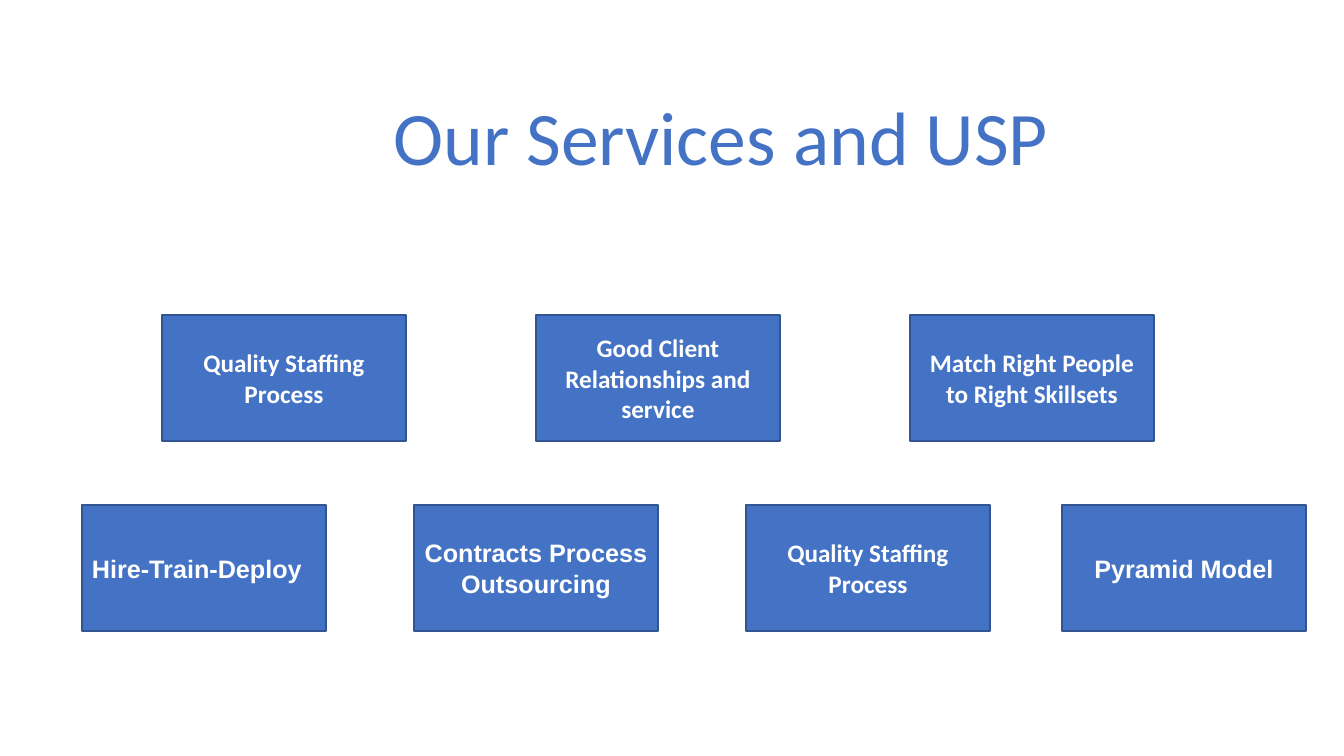
from pptx import Presentation
from pptx.dml.color import RGBColor
from pptx.enum.shapes import MSO_SHAPE as Shape
from pptx.enum.text import MSO_ANCHOR as Anchor, MSO_AUTO_SIZE as AutoSize, PP_ALIGN as Align
from pptx.util import Emu, Pt

EMU_PER_PX = 914400 / 100.8
BLUE, DARK_BLUE, WHITE = "4472C4", "325491", "FFFFFF"
BOX_WIDTH, BOX_HEIGHT = 244, 126


def px(length):
    return Emu(round(length * EMU_PER_PX))


def color(hex_string):
    return RGBColor.from_string(hex_string)


class ServiceSlide:
    def __init__(self, presentation):
        self.slide = presentation.slides.add_slide(presentation.slide_layouts[5])

    def add_text(self, shape, text, font_name, size, hex_color, bold, align, anchor):
        frame = shape.text_frame
        frame.vertical_anchor = anchor
        paragraph = frame.paragraphs[0]
        paragraph.alignment = align
        run = paragraph.add_run()
        run.text = text
        run.font.name = font_name
        run.font.size = Pt(size)
        run.font.bold = bold
        run.font.color.rgb = color(hex_color)

    def title(self, text, left, top, width, height):
        shape = self.slide.shapes.title
        shape.left, shape.top = px(left), px(top)
        shape.width, shape.height = px(width), px(height)
        shape.text_frame.word_wrap = False
        shape.text_frame.auto_size = AutoSize.SHAPE_TO_FIT_TEXT
        self.add_text(shape, text, "Calibri", 54, BLUE, False, Align.CENTER, Anchor.TOP)

    def box(self, text, left, top, font_name="Calibri", align=Align.CENTER):
        shape = self.slide.shapes.add_shape(
            Shape.RECTANGLE, px(left), px(top), px(BOX_WIDTH), px(BOX_HEIGHT))
        shape.shadow.inherit = False
        shape.fill.solid()
        shape.fill.fore_color.rgb = color(BLUE)
        shape.line.color.rgb = color(DARK_BLUE)
        shape.line.width = Pt(1)
        shape.text_frame.word_wrap = True
        self.add_text(shape, text, font_name, 18, WHITE, True, align, Anchor.MIDDLE)


def main():
    presentation = Presentation()
    presentation.slide_width, presentation.slide_height = px(1344), px(756)
    services = ServiceSlide(presentation)
    services.title("Our Services and USP", 380, 85, 682, 102)

    # Upper row, evenly spaced
    strengths = ["Quality Staffing Process", "Good Client Relationships and service",
                 "Match Right People to Right Skillsets"]
    for column, text in enumerate(strengths):
        services.box(text, 162 + 374 * column, 315)

    # Lower row
    offers = [
        ("Hire-Train-Deploy", 82, "Arial", Align.LEFT),
        ("Contracts Process Outsourcing", 414, "Arial", Align.CENTER),
        ("Quality Staffing Process", 746, "Calibri", Align.CENTER),
        ("Pyramid Model", 1062, "Arial", Align.CENTER),
    ]
    for text, left, font_name, align in offers:
        services.box(text, left, 505, font_name, align)

    presentation.save("out.pptx")


if __name__ == "__main__":
    main()
